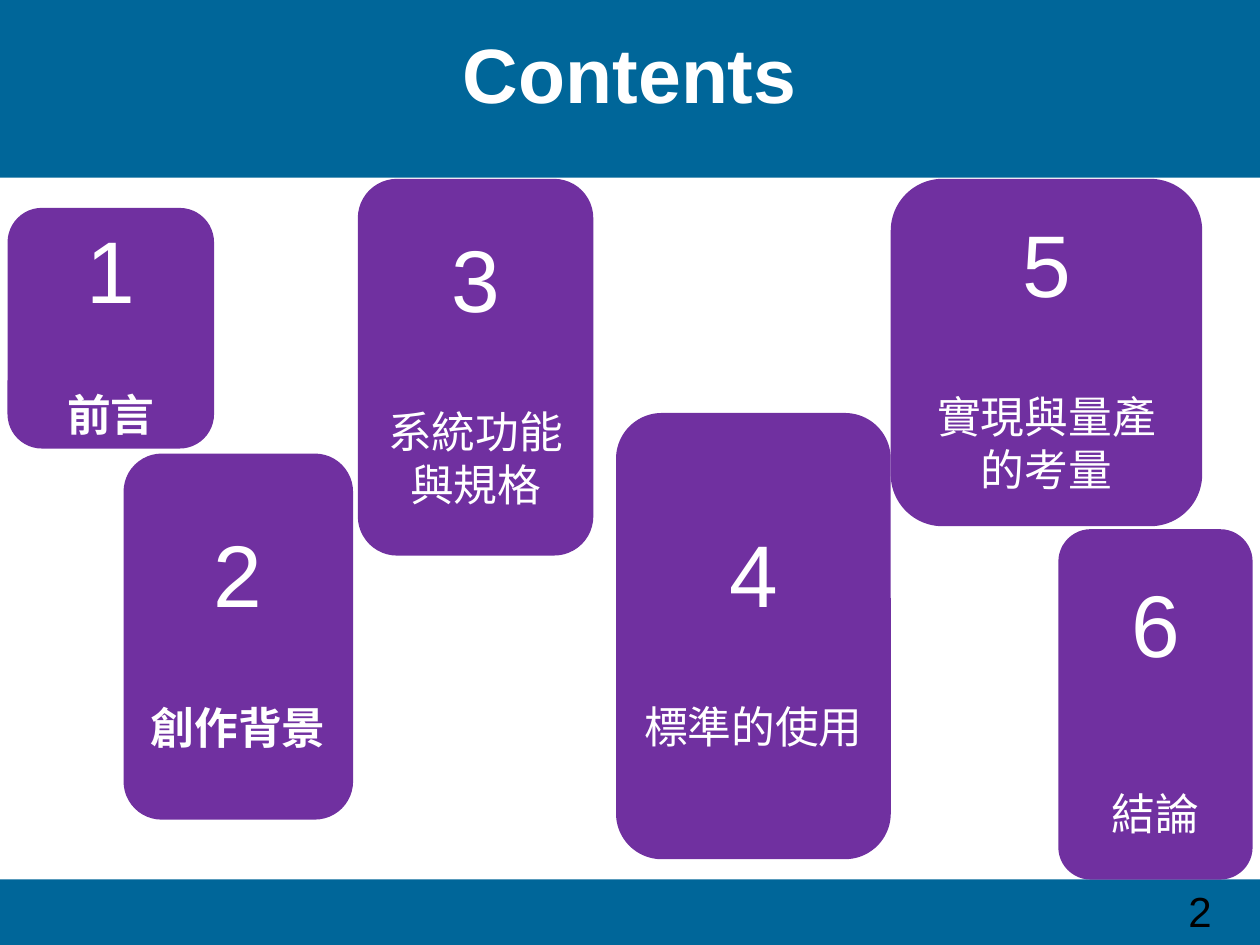
from dataclasses import dataclass

from pptx import Presentation
from pptx.dml.color import RGBColor
from pptx.enum import shapes, text
from pptx.util import Pt


@dataclass(frozen=True)
class Theme:
    font: str = "Arial"
    band: str = "006699"
    card: str = "7030A0"
    light: str = "FFFFFF"
    dark: str = "000000"
    title_size: int = 44
    number_size: int = 50
    label_size: int = 25
    page_size: int = 24


THEME = Theme()
WIDTH, HEIGHT = 720, 540
HEADER_HEIGHT, FOOTER_TOP = 101.5, 502.5

# label, bold, gap above label, (left, top, width, height)
CHAPTERS = [
    ("前言", True, 38, (4.3, 118.8, 118, 137.5)),
    ("創作背景", True, 43, (70.6, 259.2, 131.2, 209.2)),
    ("系統功能與規格", False, 43, (204.5, 102.2, 134.6, 215.3)),
    ("標準的使用", False, 43, (352, 236, 157, 255)),
    ("實現與量產的考量", False, 43, (509, 102.2, 178, 198.5)),
    ("結論", False, 64, (604.8, 302.4, 111, 200.2)),
]


def write(frame, content, size, color=THEME.light, bold=False,
          align=text.PP_ALIGN.CENTER, gap=0):
    """Fill the first paragraph, or append one when text is already there."""
    para = frame.add_paragraph() if frame.text else frame.paragraphs[0]
    para.alignment = align
    if gap:
        para.space_before = Pt(gap)
    span = para.add_run()
    span.text = content
    span.font.name = THEME.font
    span.font.size = Pt(size)
    span.font.bold = bold
    span.font.color.rgb = RGBColor.from_string(color)


def add_block(page, kind, bounds, color):
    block = page.shapes.add_shape(kind, *map(Pt, bounds))
    block.shadow.inherit = False
    block.fill.solid()
    block.fill.fore_color.rgb = RGBColor.from_string(color)
    block.line.fill.background()
    return block


def add_text_frame(page, bounds, anchor):
    frame = page.shapes.add_textbox(*map(Pt, bounds)).text_frame
    frame.word_wrap = True
    frame.vertical_anchor = anchor
    return frame


def add_chapter(page, number, label, bold, gap, bounds):
    card = add_block(page, shapes.MSO_SHAPE.ROUNDED_RECTANGLE, bounds, THEME.card)
    frame = card.text_frame
    frame.word_wrap = True
    frame.vertical_anchor = text.MSO_ANCHOR.MIDDLE
    write(frame, str(number), THEME.number_size)
    write(frame, label, THEME.label_size, bold=bold, gap=gap)


def main():
    deck = Presentation()
    deck.slide_width, deck.slide_height = Pt(WIDTH), Pt(HEIGHT)
    page = deck.slides.add_slide(deck.slide_layouts[6])

    for top, bottom in [(FOOTER_TOP, HEIGHT), (0, HEADER_HEIGHT)]:
        add_block(page, shapes.MSO_SHAPE.RECTANGLE,
                  (0, top, WIDTH, bottom - top), THEME.band)

    title = add_text_frame(page, (0, 0, WIDTH, 83), text.MSO_ANCHOR.MIDDLE)
    write(title, "Contents", THEME.title_size, bold=True)

    page_number = add_text_frame(page, (672, FOOTER_TOP, 48, 39.5), text.MSO_ANCHOR.TOP)
    write(page_number, "2", THEME.page_size, color=THEME.dark, align=text.PP_ALIGN.LEFT)

    for number, chapter in enumerate(CHAPTERS, start=1):
        add_chapter(page, number, *chapter)

    deck.save("out.pptx")


if __name__ == "__main__":
    main()
